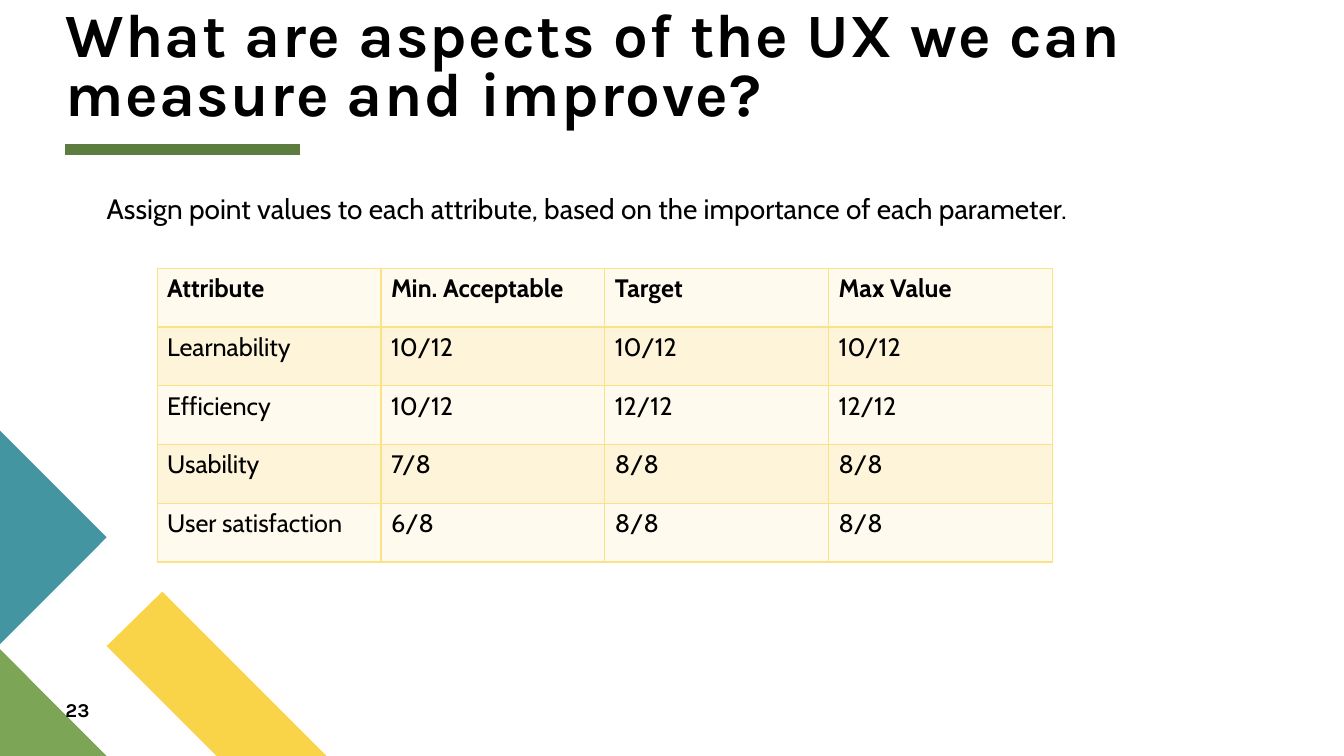
"""Build the slide on scoring UX attributes."""
from lxml import etree
from pptx import Presentation
from pptx import util as u
from pptx.dml.color import RGBColor
from pptx.enum import shapes, text
from pptx.oxml.ns import qn

COLOURS = {"ink": "000000", "rule": "5D7D40", "yellow": "F9D448", "green": "7CA655",
           "teal": "4495A2", "border": "FBE284", "light": "FEFAED", "band": "FDF4D9"}
SCORES = [
    ("Attribute", "Min. Acceptable", "Target", "Max Value"),
    ("Learnability", "10/12", "10/12", "10/12"),
    ("Efficiency", "10/12", "12/12", "12/12"),
    ("Usability", "7/8", "8/8", "8/8"),
    ("User satisfaction", "6/8", "8/8", "8/8"),
]
CORNER = [
    ("yellow", [(8.23, 19.05), (5.46, 19.05), (2.69, 16.28), (4.09, 14.91)]),
    ("green", [(2.69, 19.05), (0, 19.05), (0, 16.36)]),
    ("teal", [(0, 10.85), (2.69, 13.54), (0, 16.23)]),
]


def colour(name):
    return RGBColor.from_string(COLOURS[name])


def write(frame, words, size=18, font="Cabin", bold=False, spacing=None, tracking=0):
    paragraph = frame.paragraphs[0]
    paragraph.alignment = text.PP_ALIGN.LEFT
    paragraph.line_spacing = spacing
    run = paragraph.add_run()
    run.text = words
    run.font.size = u.Pt(size)
    run.font.name = font
    run.font.bold = bold
    run.font.color.rgb = colour("ink")
    if tracking:
        run._r.get_or_add_rPr().set("spc", str(tracking * 100))


class Deck:
    def __init__(self):
        self.show = Presentation()
        self.show.slide_width, self.show.slide_height = u.Cm(33.87), u.Cm(19.05)
        self.slide = self.show.slides.add_slide(self.show.slide_layouts[5])

    def frame(self, shape, anchor, top=0):
        frame = shape.text_frame
        frame.word_wrap = True
        frame.auto_size = text.MSO_AUTO_SIZE.NONE
        frame.vertical_anchor = anchor
        frame.margin_left = frame.margin_right = frame.margin_bottom = 0
        frame.margin_top = u.Cm(top)
        return frame

    def title(self, words, box, **style):
        heading = self.slide.shapes.title
        heading.left, heading.top, heading.width, heading.height = map(u.Cm, box)
        write(self.frame(heading, text.MSO_ANCHOR.BOTTOM), words, **style)

    def label(self, words, box, top=0, **style):
        label = self.slide.shapes.add_textbox(*map(u.Cm, box))
        write(self.frame(label, text.MSO_ANCHOR.TOP, top), words, **style)

    def rule(self, left, right, y, width):
        rule = self.slide.shapes.add_connector(
            shapes.MSO_CONNECTOR.STRAIGHT, *map(u.Cm, (left, y, right, y)))
        rule.line.color.rgb = colour("rule")
        rule.line.width = u.Pt(width)
        etree.SubElement(rule._element.spPr, qn("a:effectLst"))

    def polygon(self, fill, points):
        start, *corners = [(u.Cm(x), u.Cm(y)) for x, y in points]
        builder = self.slide.shapes.build_freeform(*start)
        builder.add_line_segments(corners, close=True)
        polygon = builder.convert_to_shape()
        polygon.shadow.inherit = False
        polygon.fill.solid()
        polygon.fill.fore_color.rgb = colour(fill)
        polygon.line.fill.background()

    def border(self, cell):
        properties = cell._tc.get_or_add_tcPr()
        for side in ("lnL", "lnR", "lnT", "lnB"):
            edge = etree.SubElement(properties, qn(f"a:{side}"), w=str(u.Pt(1)))
            fill = etree.SubElement(edge, qn("a:solidFill"))
            etree.SubElement(fill, qn("a:srgbClr"), val=COLOURS["border"])

    def table(self, rows, left, top, column, height):
        count, across = len(rows), len(rows[0])
        grid = self.slide.shapes.add_table(
            count, across, u.Cm(left), u.Cm(top),
            u.Cm(column * across), u.Cm(height * count)).table
        for r, row in enumerate(rows):
            grid.rows[r].height = u.Cm(height)
            for c, words in enumerate(row):
                cell = grid.cell(r, c)
                self.border(cell)
                cell.fill.solid()
                cell.fill.fore_color.rgb = colour("band" if r % 2 else "light")
                write(cell.text_frame, words, bold=r == 0)


def main():
    deck = Deck()
    deck.rule(1.65, 7.57, 3.76, 8)
    for fill, points in CORNER:
        deck.polygon(fill, points)
    deck.title("What are aspects of the UX we can measure and improve?",
               (1.65, 0.28, 30.2, 2.95), size=44, font="Karla", bold=True,
               spacing=0.8, tracking=1)
    deck.label("Assign point values to each attribute, based on the importance of each parameter.",
               (2.69, 4.27, 29.16, 12.34), top=0.64, size=20, spacing=0.9)
    deck.label("23", (1.65, 17.58, 1.45, 0.69), size=14, font="Karla", bold=True)
    deck.table(SCORES, 3.96, 6.76, 5.64, 1.48)
    deck.show.save("out.pptx")


if __name__ == "__main__":
    main()
